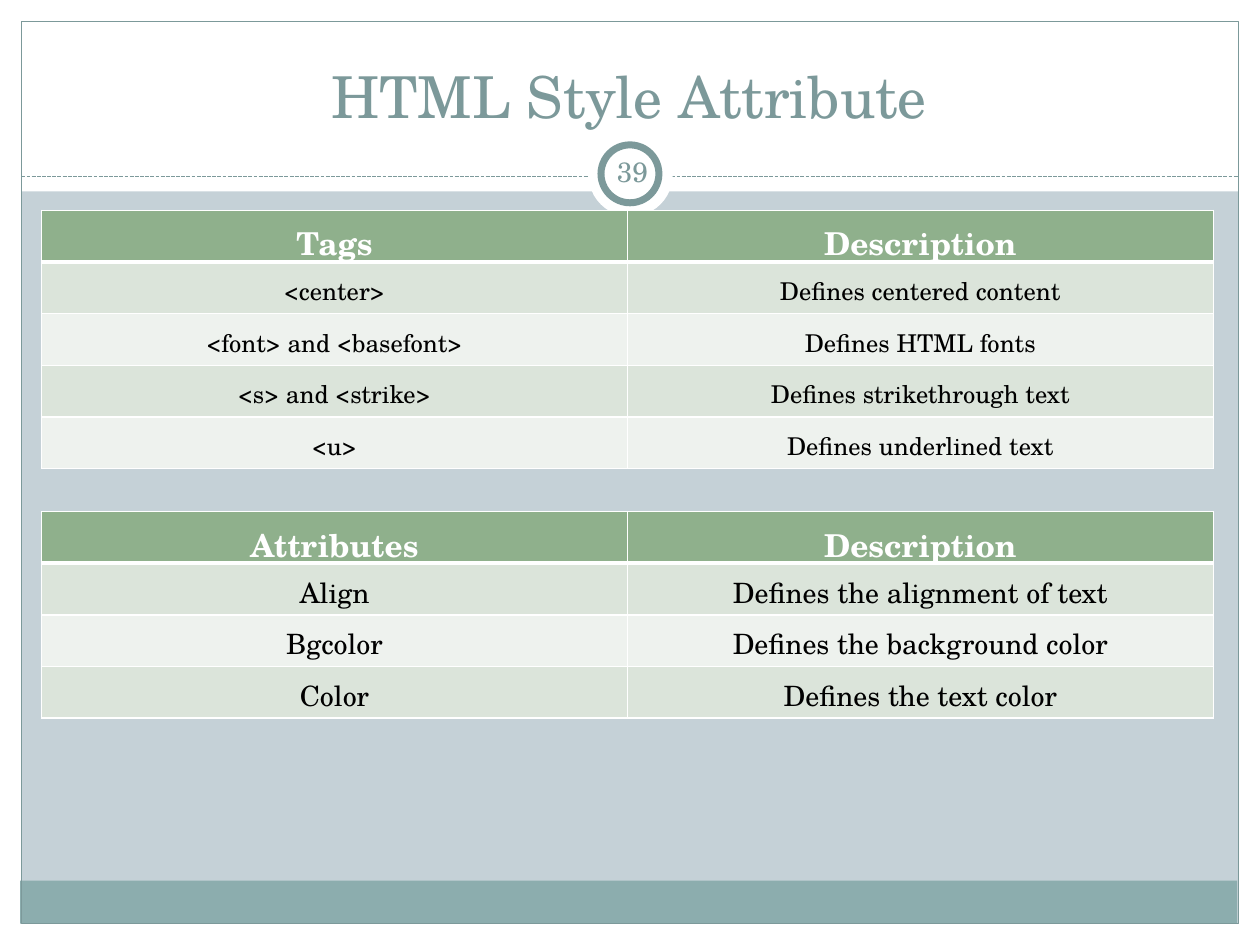
import dataclasses

import lxml.etree
import pptx
import pptx.dml.color
import pptx.enum.dml
import pptx.enum.shapes
import pptx.enum.text
import pptx.oxml.ns
import pptx.slide
import pptx.util

Inches = pptx.util.Inches
Pt = pptx.util.Pt
Shape = pptx.enum.shapes.MSO_SHAPE
Anchor = pptx.enum.text.MSO_ANCHOR


@dataclasses.dataclass(frozen=True)
class Theme:
    font: str = "TeX Gyre Schola"
    back: str = "C5D1D7"
    white: str = "FFFFFF"
    black: str = "000000"
    teal: str = "7C999A"
    foot: str = "8CADAE"
    head: str = "8FB08C"
    bands: tuple[str, str] = ("DBE4DA", "EEF2EE")
    title_size: int = 33
    page_size: int = 16
    head_size: int = 18


@dataclasses.dataclass(frozen=True)
class Box:
    left: float
    top: float
    width: float
    height: float

    def lengths(self) -> list[int]:
        return [Inches(n) for n in (self.left, self.top, self.width, self.height)]


@dataclasses.dataclass(frozen=True)
class Part:
    box: Box
    fill: str | None = None
    line: str | None = None
    weight: float = 0.75
    kind: Shape = Shape.RECTANGLE


@dataclasses.dataclass(frozen=True)
class Label:
    box: Box
    text: str
    size: int
    anchor: Anchor
    inset: float


@dataclasses.dataclass(frozen=True)
class Grid:
    top: float
    size: int
    rows: list[tuple[str, str]]


THEME = Theme()
EDGE = 0.17
SIDE, WIDE, ROW = 0.33, 9.3, 0.41

FRAME = [
    Part(Box(0, 7.33, 10, EDGE), THEME.white),
    Part(Box(0, 0, 10, 1.52), THEME.white),
    Part(Box(0, 0, EDGE, 7.5), THEME.white),
    Part(Box(9.83, 0, EDGE, 7.5), THEME.white),
    Part(Box(0.16, 6.99, 9.66, 0.34), THEME.foot),
    Part(Box(EDGE, EDGE, 9.66, 7.16), line=THEME.teal),
]
BADGE = [
    Part(Box(4.67, 1.05, 0.67, 0.67), THEME.white, kind=Shape.OVAL),
    Part(Box(4.77, 1.15, 0.46, 0.46), THEME.white, THEME.teal, 4, Shape.OVAL),
]
LABELS = [
    Label(Box(0.33, 0.25, 9.33, 0.83), "HTML Style Attribute",
          THEME.title_size, Anchor.BOTTOM, 0.05),
    Label(Box(4.77, 1.12, 0.5, 0.48), "39", THEME.page_size, Anchor.MIDDLE, 0.05),
]
GRIDS = [
    Grid(1.67, 14, [
        ("Tags", "Description"),
        ("<center>", "Defines centered content"),
        ("<font> and <basefont>", "Defines HTML fonts"),
        ("<s> and <strike>", "Defines strikethrough text"),
        ("<u>", "Defines underlined text"),
    ]),
    Grid(4.06, 16, [
        ("Attributes", "Description"),
        ("Align", "Defines the alignment of text"),
        ("Bgcolor", "Defines the background color"),
        ("Color", "Defines the text color"),
    ]),
]


def color(code: str) -> pptx.dml.color.RGBColor:
    return pptx.dml.color.RGBColor.from_string(code)


def add_part(slide: pptx.slide.Slide, part: Part) -> None:
    shape = slide.shapes.add_shape(part.kind, *part.box.lengths())
    shape.shadow.inherit = False
    if part.fill:
        shape.fill.solid()
        shape.fill.fore_color.rgb = color(part.fill)
    else:
        shape.fill.background()
    if part.line:
        shape.line.color.rgb = color(part.line)
        shape.line.width = Pt(part.weight)
    else:
        shape.line.fill.background()


def add_rule(slide: pptx.slide.Slide, top: float) -> None:
    """Draw the dashed line under the title."""
    rule = slide.shapes.add_connector(
        pptx.enum.shapes.MSO_CONNECTOR.STRAIGHT,
        Inches(EDGE), Inches(top), Inches(10 - EDGE), Inches(top))
    rule.line.color.rgb = color(THEME.teal)
    rule.line.width = Pt(0.75)
    rule.line.dash_style = pptx.enum.dml.MSO_LINE.SQUARE_DOT
    lxml.etree.SubElement(rule._element.spPr, pptx.oxml.ns.qn("a:effectLst"))


def add_run(frame, text: str, size: int, code: str, bold: bool = False) -> None:
    para = frame.paragraphs[0]
    para.alignment = pptx.enum.text.PP_ALIGN.CENTER
    run = para.add_run()
    run.text = text
    run.font.name = THEME.font
    run.font.size = Pt(size)
    run.font.bold = bold
    run.font.color.rgb = color(code)


def add_label(slide: pptx.slide.Slide, label: Label) -> None:
    frame = slide.shapes.add_textbox(*label.box.lengths()).text_frame
    frame.word_wrap = True
    frame.vertical_anchor = label.anchor
    frame.margin_left = frame.margin_right = Inches(label.inset)
    frame.margin_top = frame.margin_bottom = Inches(label.inset)
    add_run(frame, label.text, label.size, THEME.teal)


def add_edges(cell, low: float) -> None:
    """Give a cell white borders, the bottom one `low` points wide."""
    props = cell._tc.get_or_add_tcPr()
    for spot, (tag, width) in enumerate(
            [("a:lnL", 1), ("a:lnR", 1), ("a:lnT", 1), ("a:lnB", low)]):
        line = lxml.etree.Element(pptx.oxml.ns.qn(tag), w=str(Pt(width)))
        fill = lxml.etree.SubElement(line, pptx.oxml.ns.qn("a:solidFill"))
        lxml.etree.SubElement(fill, pptx.oxml.ns.qn("a:srgbClr"), val=THEME.white)
        props.insert(spot, line)


def add_grid(slide: pptx.slide.Slide, grid: Grid) -> None:
    count = len(grid.rows)
    box = Box(SIDE, grid.top, WIDE, ROW * count)
    table = slide.shapes.add_table(count, 2, *box.lengths()).table
    for y, words in enumerate(grid.rows):
        top = y == 0
        table.rows[y].height = Inches(ROW)
        for x, text in enumerate(words):
            cell = table.cell(y, x)
            cell.fill.solid()
            cell.fill.fore_color.rgb = color(
                THEME.head if top else THEME.bands[(y - 1) % 2])
            cell.vertical_anchor = Anchor.MIDDLE
            cell.margin_left = cell.margin_right = Inches(0.01)
            cell.margin_top = cell.margin_bottom = Inches(0.01)
            add_run(cell.text_frame, text, THEME.head_size if top else grid.size,
                    THEME.white if top else THEME.black, top)
            cell.text_frame.paragraphs[0].line_spacing = 1.15
            add_edges(cell, 3 if top else 1)


def main() -> None:
    deck = pptx.Presentation()
    deck.slide_width, deck.slide_height = Inches(10), Inches(7.5)
    slide = deck.slides.add_slide(deck.slide_layouts[6])
    slide.background.fill.solid()
    slide.background.fill.fore_color.rgb = color(THEME.back)
    for part in FRAME:
        add_part(slide, part)
    add_rule(slide, 1.4)
    for part in BADGE:
        add_part(slide, part)
    for label in LABELS:
        add_label(slide, label)
    for grid in GRIDS:
        add_grid(slide, grid)
    deck.save("out.pptx")


if __name__ == "__main__":
    main()
